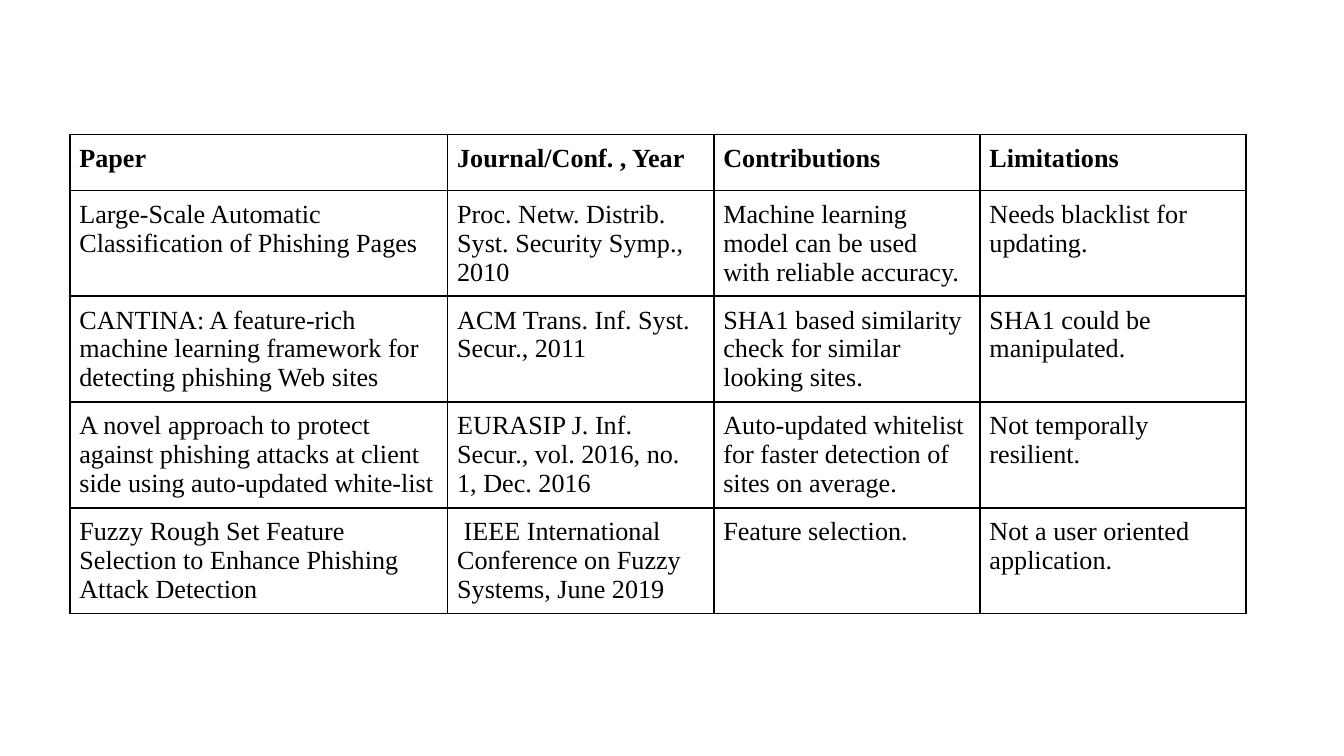
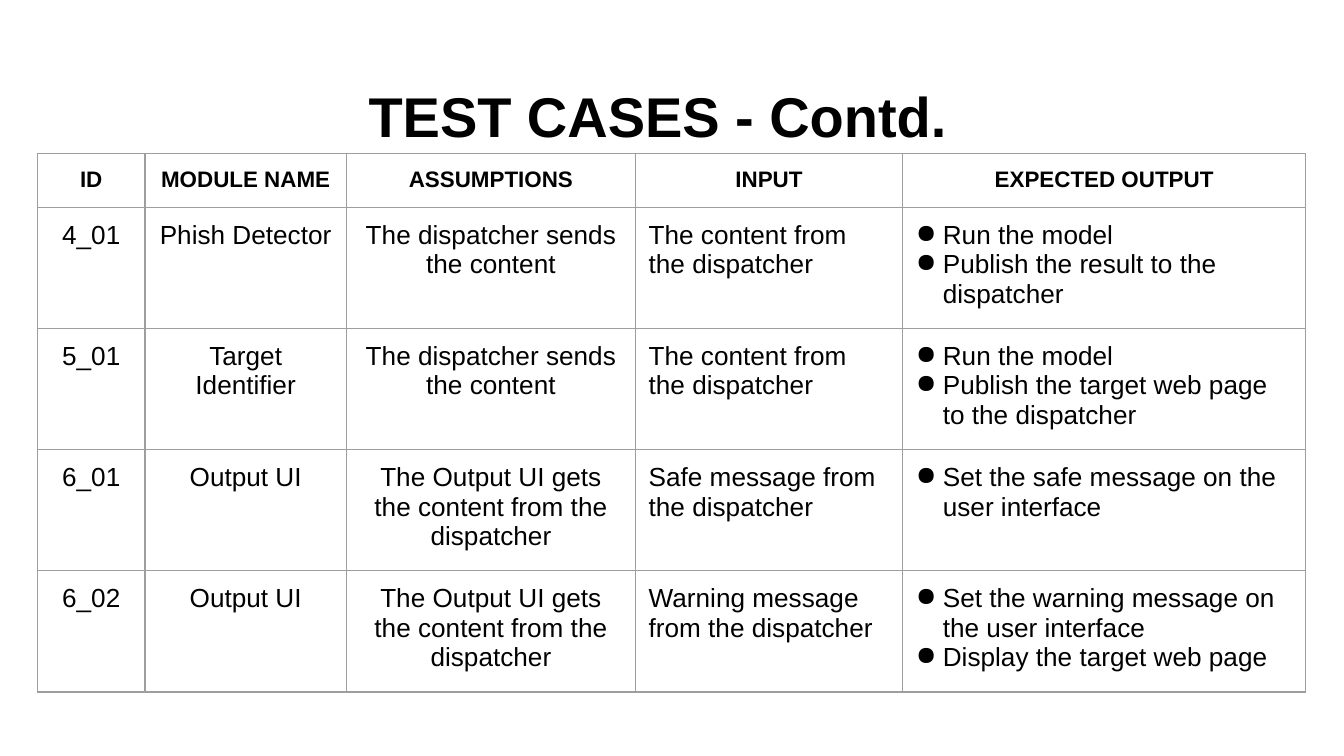
from lxml import etree
from pptx import Presentation
from pptx import util as u
from pptx.dml.color import RGBColor
from pptx.enum import text
from pptx.oxml import ns

BLACK, GREY = "000000", "9E9E9E"
LEFT, CENTER = text.PP_ALIGN.LEFT, text.PP_ALIGN.CENTER
BULLET, BULLET_INDENT = "●", u.Cm(0.51)

TITLE = "TEST CASES - Contd."

PAPERS = [
    ("Paper", "Journal/Conf. , Year", "Contributions", "Limitations"),
    ("Large-Scale Automatic Classification of Phishing Pages",
     "Proc. Netw. Distrib. Syst. Security Symp., 2010",
     "Machine learning model can be used with reliable accuracy.",
     "Needs blacklist for updating."),
    ("CANTINA: A feature-rich machine learning framework for detecting phishing Web sites",
     "ACM Trans. Inf. Syst. Secur., 2011",
     "SHA1 based similarity check for similar looking sites.",
     "SHA1 could be manipulated."),
    ("A novel approach to protect against phishing attacks at client side "
     "using auto-updated white-list",
     "EURASIP J. Inf. Secur., vol. 2016, no. 1, Dec. 2016",
     "Auto-updated whitelist for faster detection of sites on average.",
     "Not temporally resilient."),
    ("Fuzzy Rough Set Feature Selection to Enhance Phishing Attack Detection",
     " IEEE International Conference on Fuzzy Systems, June 2019",
     "Feature selection.",
     "Not a user oriented application."),
]

# A list in a cell becomes a bulleted list.
TEST_CASES = [
    ("ID", "MODULE NAME", "ASSUMPTIONS", "INPUT", "EXPECTED OUTPUT"),
    ("4_01", "Phish Detector", "The dispatcher sends the content",
     "The content from the dispatcher",
     ["Run the model", "Publish the result to the dispatcher"]),
    ("5_01", "Target Identifier", "The dispatcher sends the content",
     "The content from the dispatcher",
     ["Run the model", "Publish the target web page to the dispatcher"]),
    ("6_01", "Output UI", "The Output UI gets the content from the dispatcher",
     "Safe message from the dispatcher",
     ["Set the safe message on the user interface"]),
    ("6_02", "Output UI", "The Output UI gets the content from the dispatcher",
     "Warning message from the dispatcher",
     ["Set the warning message on the user interface", "Display the target web page"]),
]

PAPERS_LOOK = dict(
    left=1.32, top=2.54, widths=[7.14, 5.03, 5.03, 5.03],
    header_height=1.06, body_height=1.06, margin=0.18,
    font="Times New Roman", header_size=14, body_size=14,
    header_align=LEFT, body_aligns=[LEFT] * 4, border=(BLACK, 1))

TEST_CASES_LOOK = dict(
    left=0.71, top=2.9, widths=[2.03, 3.81, 5.46, 5.05, 7.62],
    header_height=1.02, body_height=2.29, margin=0.25,
    font="Arial", header_size=12, body_size=14,
    header_align=CENTER, body_aligns=[CENTER] * 3 + [LEFT] * 2, border=(GREY, 0.75))


def rgb(color):
    return RGBColor.from_string(color)


def add_xml(parent, tag, **attributes):
    return etree.SubElement(parent, ns.qn(tag), attributes)


def write(paragraph, words, font, size, bold, align):
    run = paragraph.add_run()
    run.text = words
    run.font.name, run.font.size, run.font.bold = font, u.Pt(size), bold
    run.font.color.rgb = rgb(BLACK)
    paragraph.alignment = align


def add_bullet(paragraph):
    properties = paragraph._p.get_or_add_pPr()
    properties.set("marL", str(BULLET_INDENT))
    properties.set("indent", str(-BULLET_INDENT))
    add_xml(add_xml(properties, "a:buClr"), "a:srgbClr", val=BLACK)
    add_xml(properties, "a:buChar", char=BULLET)


def draw_borders(cell, color, width):
    properties = cell._tc.get_or_add_tcPr()
    for position, side in enumerate(("a:lnL", "a:lnR", "a:lnT", "a:lnB")):
        line = add_xml(properties, side, w=str(u.Pt(width)))
        add_xml(add_xml(line, "a:solidFill"), "a:srgbClr", val=color)
        properties.insert(position, line)


def fill_cell(cell, content, look, is_header, align):
    cell.fill.background()
    draw_borders(cell, *look["border"])
    cell.margin_left = cell.margin_right = u.Cm(look["margin"])
    cell.margin_top = cell.margin_bottom = u.Cm(look["margin"])
    size = look["header_size"] if is_header else look["body_size"]
    bulleted = isinstance(content, list)
    for index, words in enumerate(content if bulleted else [content]):
        frame = cell.text_frame
        paragraph = frame.add_paragraph() if index else frame.paragraphs[0]
        if bulleted:
            add_bullet(paragraph)
        write(paragraph, words, look["font"], size, is_header, align)


def add_grid(slide, rows, look):
    """Add a table whose first row is the header."""
    heights = [look["header_height"]] + [look["body_height"]] * (len(rows) - 1)
    grid = slide.shapes.add_table(
        len(rows), len(rows[0]), u.Cm(look["left"]), u.Cm(look["top"]),
        u.Cm(sum(look["widths"])), u.Cm(sum(heights))).table
    grid.first_row = grid.horz_banding = False
    for column, width in zip(grid.columns, look["widths"]):
        column.width = u.Cm(width)
    for r, (contents, height) in enumerate(zip(rows, heights)):
        grid.rows[r].height = u.Cm(height)
        for c, content in enumerate(contents):
            align = look["body_aligns"][c] if r else look["header_align"]
            fill_cell(grid.cell(r, c), content, look, r == 0, align)


def add_title(slide, words):
    frame = slide.shapes.add_textbox(
        u.Cm(1.32), u.Cm(1.24), u.Cm(22.23), u.Cm(1.83)).text_frame
    frame.word_wrap = True
    frame.vertical_anchor = text.MSO_ANCHOR.BOTTOM
    frame.margin_left = frame.margin_right = u.Cm(0.25)
    frame.margin_top = frame.margin_bottom = u.Cm(0.25)
    frame.paragraphs[0].line_spacing = 1.15
    write(frame.paragraphs[0], words, "Arial", 30, True, CENTER)


def main():
    deck = Presentation()
    deck.slide_width, deck.slide_height = u.Cm(25.4), u.Cm(14.29)
    blank = deck.slide_layouts[6]

    add_grid(deck.slides.add_slide(blank), PAPERS, PAPERS_LOOK)

    test_slide = deck.slides.add_slide(blank)
    add_title(test_slide, TITLE)
    add_grid(test_slide, TEST_CASES, TEST_CASES_LOOK)

    deck.save("out.pptx")


if __name__ == "__main__":
    main()
